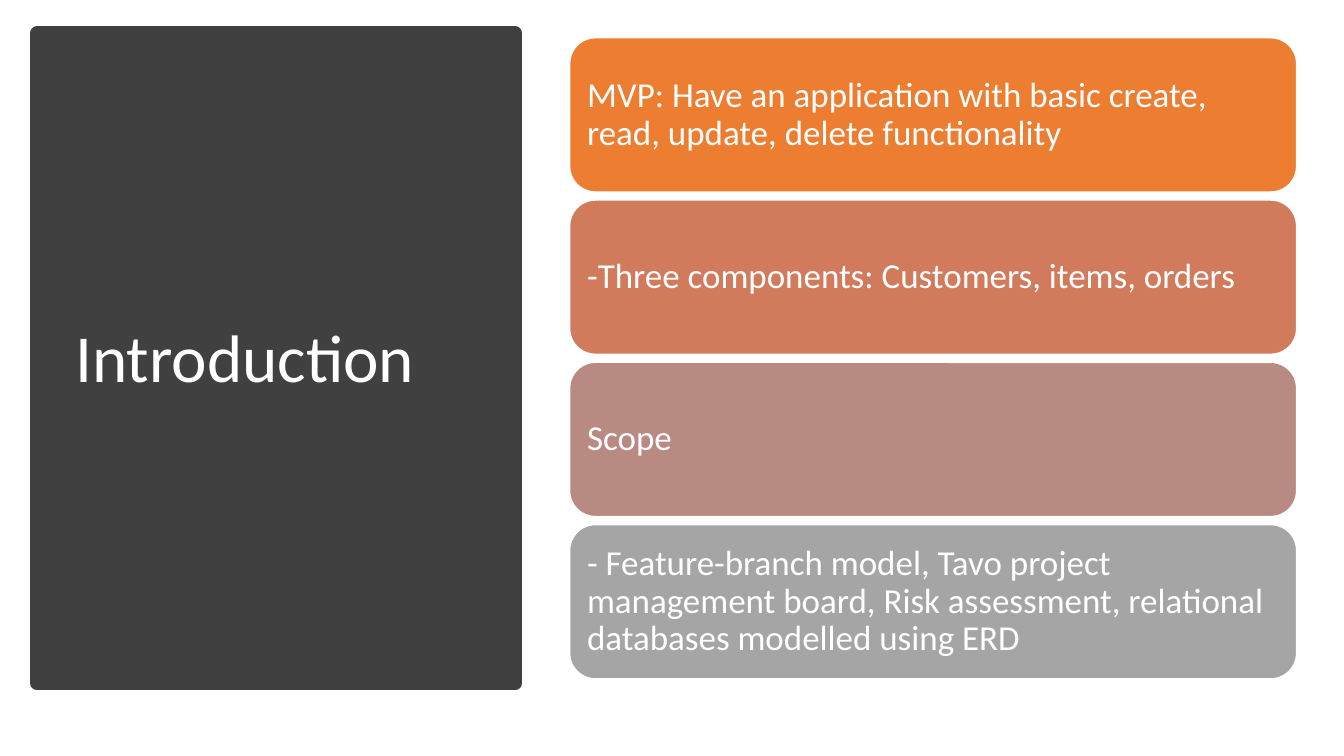
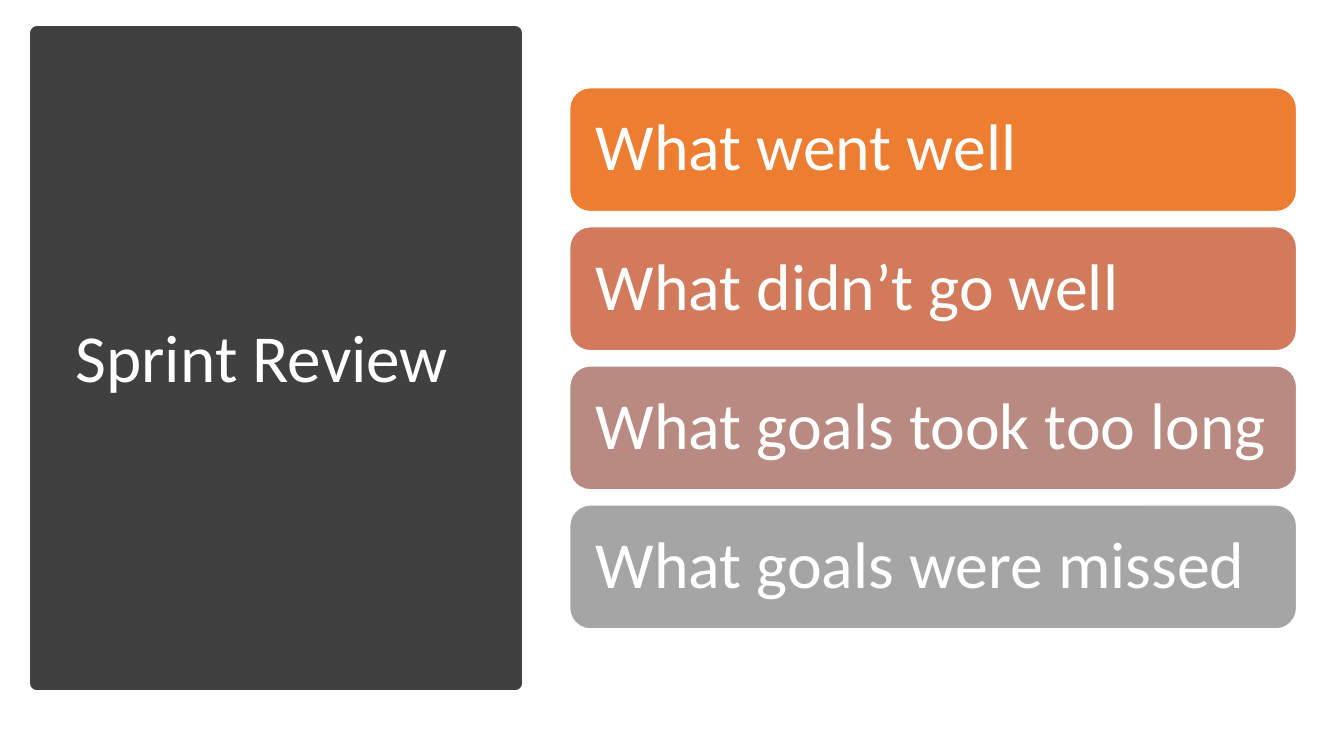
from dataclasses import dataclass

from pptx import Presentation
from pptx.dml.color import RGBColor
from pptx.enum.shapes import MSO_SHAPE
from pptx.enum.text import MSO_ANCHOR, PP_ALIGN
from pptx.util import Pt

SLIDES = [
    {
        "title": "Introduction",
        "size": 25, "inset": 10, "height": 153, "gap": 8,
        "cards": [
            "MVP: Have an application with basic create, read, update, delete functionality",
            "-Three components: Customers, items, orders",
            "Scope",
            "- Feature-branch model, Tavo project management board, Risk assessment, "
            "relational databases modelled using ERD",
        ],
    },
    {
        "title": "Sprint Review",
        "size": 47, "inset": 20, "height": 123, "gap": 15,
        "cards": [
            "What went well",
            "What didn’t go well",
            "What goals took too long",
            "What goals were missed",
        ],
    },
]


@dataclass(frozen=True)
class Theme:
    font: str = "Calibri"
    title_size: int = 48
    text: str = "FFFFFF"
    panel: str = "404040"
    panel_line: int = 10
    card_line: int = 1
    cards: tuple = ("ED7D31", "D17B5C", "B98A82", "A5A5A5")


THEME = Theme()
EMU_PER_PX = 9144  # 100 px to the inch
PAGE = (1333, 750)
PANEL = (37, 33, 474, 645)
TITLE = (65, 70, 416, 575)
CARD_LEFT, CARD_WIDTH = 565, 721
TITLE_INSET = 10


def px(value):
    return round(value * EMU_PER_PX)


def add_block(page, kind, bounds, fill, line, line_width):
    block = page.shapes.add_shape(kind, *map(px, bounds))
    block.shadow.inherit = False
    block.fill.solid()
    block.fill.fore_color.rgb = RGBColor.from_string(fill)
    block.line.color.rgb = RGBColor.from_string(line)
    block.line.width = Pt(line_width)
    return block


def write(box, text, size, inset):
    frame = box.text_frame
    frame.word_wrap = True
    frame.vertical_anchor = MSO_ANCHOR.MIDDLE
    frame.margin_left = frame.margin_right = px(inset)
    frame.margin_top = frame.margin_bottom = px(inset)
    para = frame.paragraphs[0]
    para.alignment = PP_ALIGN.LEFT
    para.line_spacing = 0.9
    span = para.add_run()
    span.text = text
    span.font.name = THEME.font
    span.font.size = Pt(size)
    span.font.color.rgb = RGBColor.from_string(THEME.text)


def add_title_panel(page, title):
    add_block(page, MSO_SHAPE.RECTANGLE, PANEL, THEME.panel, THEME.panel, THEME.panel_line)
    write(page.shapes.add_textbox(*map(px, TITLE)), title, THEME.title_size, TITLE_INSET)


def add_cards(page, content):
    """Stack the cards, centred on the height of the title panel."""
    cards, height, gap = content["cards"], content["height"], content["gap"]
    step = height + gap
    top = PANEL[1] + (PANEL[3] - (len(cards) * step - gap)) / 2
    for row, (text, fill) in enumerate(zip(cards, THEME.cards)):
        bounds = (CARD_LEFT, top + row * step, CARD_WIDTH, height)
        card = add_block(page, MSO_SHAPE.ROUNDED_RECTANGLE, bounds,
                         fill, THEME.text, THEME.card_line)
        write(card, text, content["size"], content["inset"])


def main():
    deck = Presentation()
    deck.slide_width, deck.slide_height = map(px, PAGE)
    blank = deck.slide_layouts[6]
    for content in SLIDES:
        page = deck.slides.add_slide(blank)
        add_title_panel(page, content["title"])
        add_cards(page, content)
    deck.save("out.pptx")


if __name__ == "__main__":
    main()
